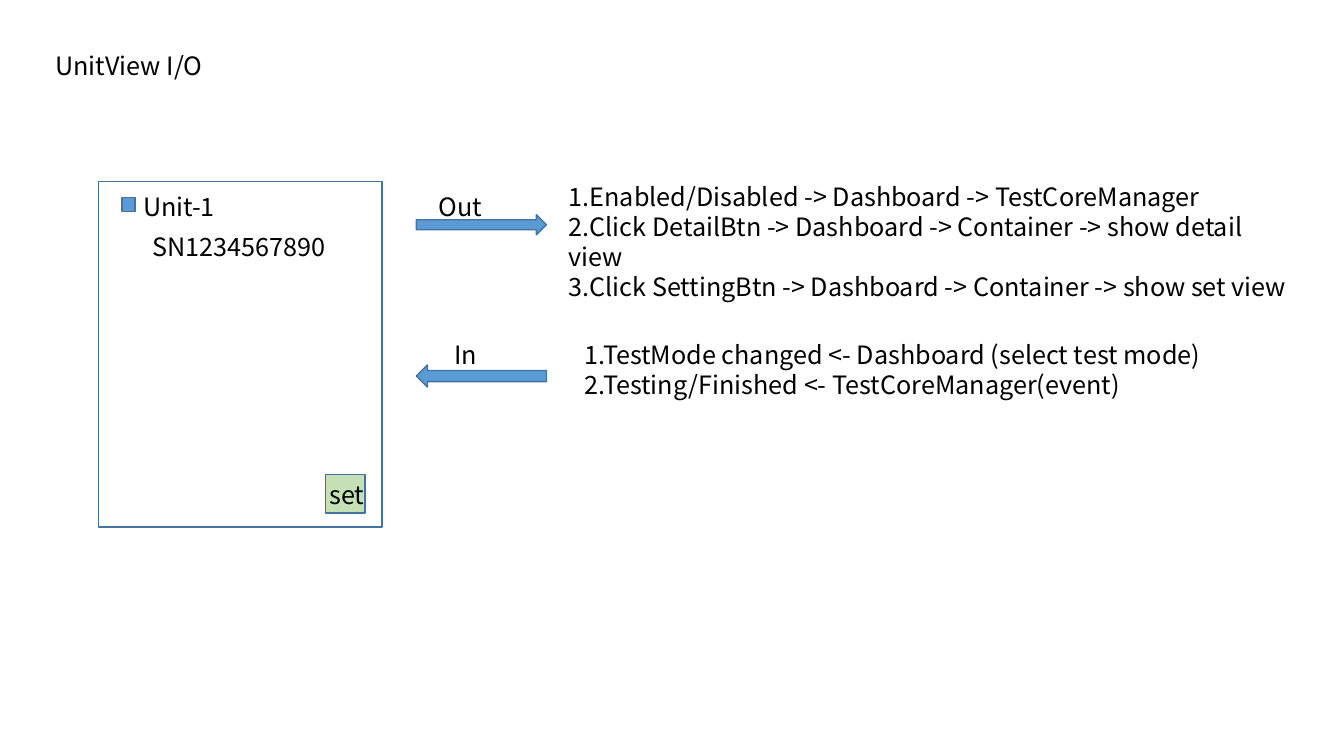
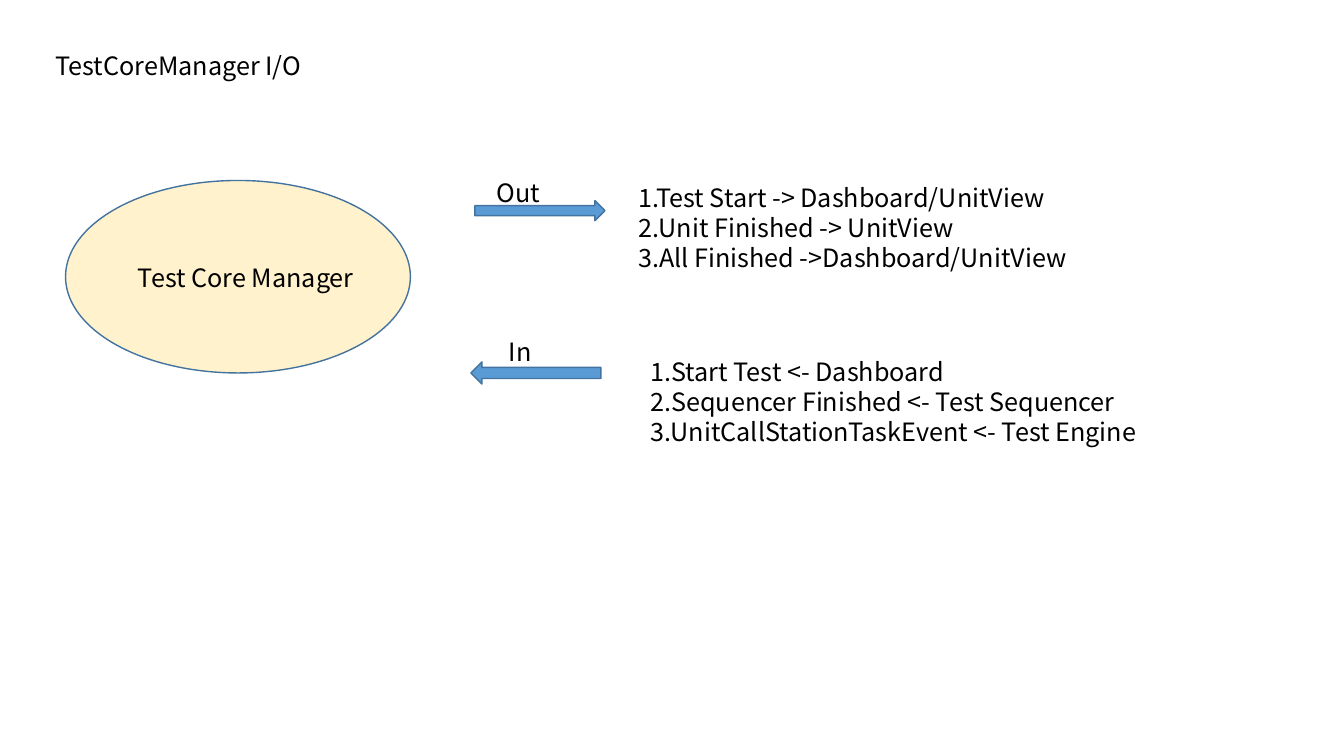
from pptx import Presentation
from pptx.dml.color import RGBColor
from pptx.enum.shapes import MSO_SHAPE as Shape
from pptx.enum.text import MSO_ANCHOR as Anchor, MSO_AUTO_SIZE as AutoSize, PP_ALIGN as Align
from pptx.oxml.ns import qn
from pptx.util import Inches, Pt

BLACK = RGBColor(0x00, 0x00, 0x00)
WHITE = RGBColor(0xFF, 0xFF, 0xFF)
BLUE = RGBColor(0x5B, 0x9B, 0xD5)
OUTLINE = RGBColor(0x43, 0x73, 0x9E)
GREEN = RGBColor(0xC5, 0xE0, 0xB4)
CREAM = RGBColor(0xFF, 0xF2, 0xCC)


class Deck:
    font = "Noto Sans CJK SC"
    size = Pt(18)
    line_height = Pt(21.4)
    label_height = 0.4
    two_lists_layout = 3

    def __init__(self):
        self.prs = Presentation()
        self.prs.slide_width = Inches(13.33)
        self.prs.slide_height = Inches(7.5)
        self.slide = None

    def new_slide(self, title):
        layout = self.prs.slide_layouts[self.two_lists_layout]
        self.slide = self.prs.slides.add_slide(layout)
        for placeholder in list(self.slide.placeholders):
            if placeholder.placeholder_format.idx > 2:
                placeholder._element.getparent().remove(placeholder._element)
        heading = self.slide.shapes.title
        self.place(heading, 0.45, 0.43, 3.18, self.label_height)
        self.fill_text(heading, [title])

    def place(self, shape, left, top, width, height):
        shape.left, shape.top = Inches(left), Inches(top)
        shape.width, shape.height = Inches(width), Inches(height)

    def fill_text(self, shape, lines):
        frame = shape.text_frame
        frame.word_wrap = True
        frame.auto_size = AutoSize.NONE
        frame.vertical_anchor = Anchor.TOP
        frame.margin_left = frame.margin_right = Inches(0.1)
        frame.margin_top, frame.margin_bottom = Inches(0.07), Inches(0.03)
        for index, line in enumerate(lines):
            paragraph = frame.add_paragraph() if index else frame.paragraphs[0]
            paragraph.alignment = Align.LEFT
            paragraph.line_spacing = self.line_height
            paragraph.space_before = paragraph.space_after = Pt(0)
            run = paragraph.add_run()
            run.text = line
            run.font.name = self.font
            run.font.size = self.size
            run.font.color.rgb = BLACK
        return frame

    def label(self, text, left, top, width):
        box = self.slide.shapes.add_textbox(
            Inches(left), Inches(top), Inches(width), Inches(self.label_height))
        self.fill_text(box, [text])

    def signal_list(self, slot, lines, left, top, width):
        body = self.slide.placeholders[slot]
        self.place(body, left, top, width, 0.1 + 0.3 * len(lines))
        for paragraph in self.fill_text(body, lines).paragraphs:
            properties = paragraph._p.get_or_add_pPr()
            properties.set("marL", "0")
            properties.set("indent", "0")
            properties.append(properties.makeelement(qn("a:buNone"), {}))

    def shape(self, kind, left, top, width, height, fill):
        figure = self.slide.shapes.add_shape(
            kind, Inches(left), Inches(top), Inches(width), Inches(height))
        figure.shadow.inherit = False
        figure.fill.solid()
        figure.fill.fore_color.rgb = fill
        figure.line.color.rgb = OUTLINE
        figure.line.width = Pt(1)
        return figure

    def out_arrow(self, left, top):
        self.shape(Shape.RIGHT_ARROW, left, top, 1.29, 0.2, BLUE)
        self.label("Out", left + 0.12, top - 0.3, 0.97)

    def in_arrow(self, left, top):
        arrow = self.shape(Shape.RIGHT_ARROW, left, top, 1.29, 0.22, BLUE)
        arrow.rotation = 180
        self.label("In", left + 0.28, top - 0.32, 0.66)


def unit_view(deck):
    deck.new_slide("UnitView I/O")
    deck.shape(Shape.RECTANGLE, 0.98, 1.8, 2.81, 3.43, WHITE)
    deck.shape(Shape.RECTANGLE, 1.21, 1.96, 0.13, 0.14, BLUE)
    deck.label("Unit-1", 1.32, 1.83, 1.09)
    deck.label("SN1234567890", 1.41, 2.23, 2.22)
    deck.shape(Shape.RECTANGLE, 3.23, 4.71, 0.39, 0.38, GREEN)
    deck.label("set", 3.17, 4.69, 0.56)
    deck.out_arrow(4.13, 2.13)
    deck.signal_list(1, [
        "1.Enabled/Disabled -> Dashboard -> TestCoreManager",
        "2.Click DetailBtn -> Dashboard -> Container -> show detail view",
        "3.Click SettingBtn -> Dashboard -> Container -> show set view",
    ], 5.54, 1.73, 7.33)
    deck.in_arrow(4.13, 3.62)
    deck.signal_list(2, [
        "1.TestMode changed <- Dashboard (select test mode)",
        "2.Testing/Finished <- TestCoreManager(event)",
    ], 5.7, 3.3, 7.26)


def test_core_manager(deck):
    deck.new_slide("TestCoreManager I/O")
    deck.shape(Shape.OVAL, 0.65, 1.79, 3.42, 1.91, CREAM)
    deck.label("Test Core Manager", 1.27, 2.54, 2.71)
    deck.out_arrow(4.71, 1.99)
    deck.signal_list(1, [
        "1.Test Start -> Dashboard/UnitView",
        "2.Unit Finished -> UnitView",
        "3.All Finished ->Dashboard/UnitView",
    ], 6.23, 1.74, 5.93)
    deck.in_arrow(4.67, 3.59)
    deck.signal_list(2, [
        "1.Start Test <- Dashboard",
        "2.Sequencer Finished <- Test Sequencer",
        "3.UnitCallStationTaskEvent <- Test Engine",
    ], 6.35, 3.47, 6.36)


def main():
    deck = Deck()
    unit_view(deck)
    test_core_manager(deck)
    deck.prs.save("out.pptx")


if __name__ == "__main__":
    main()
